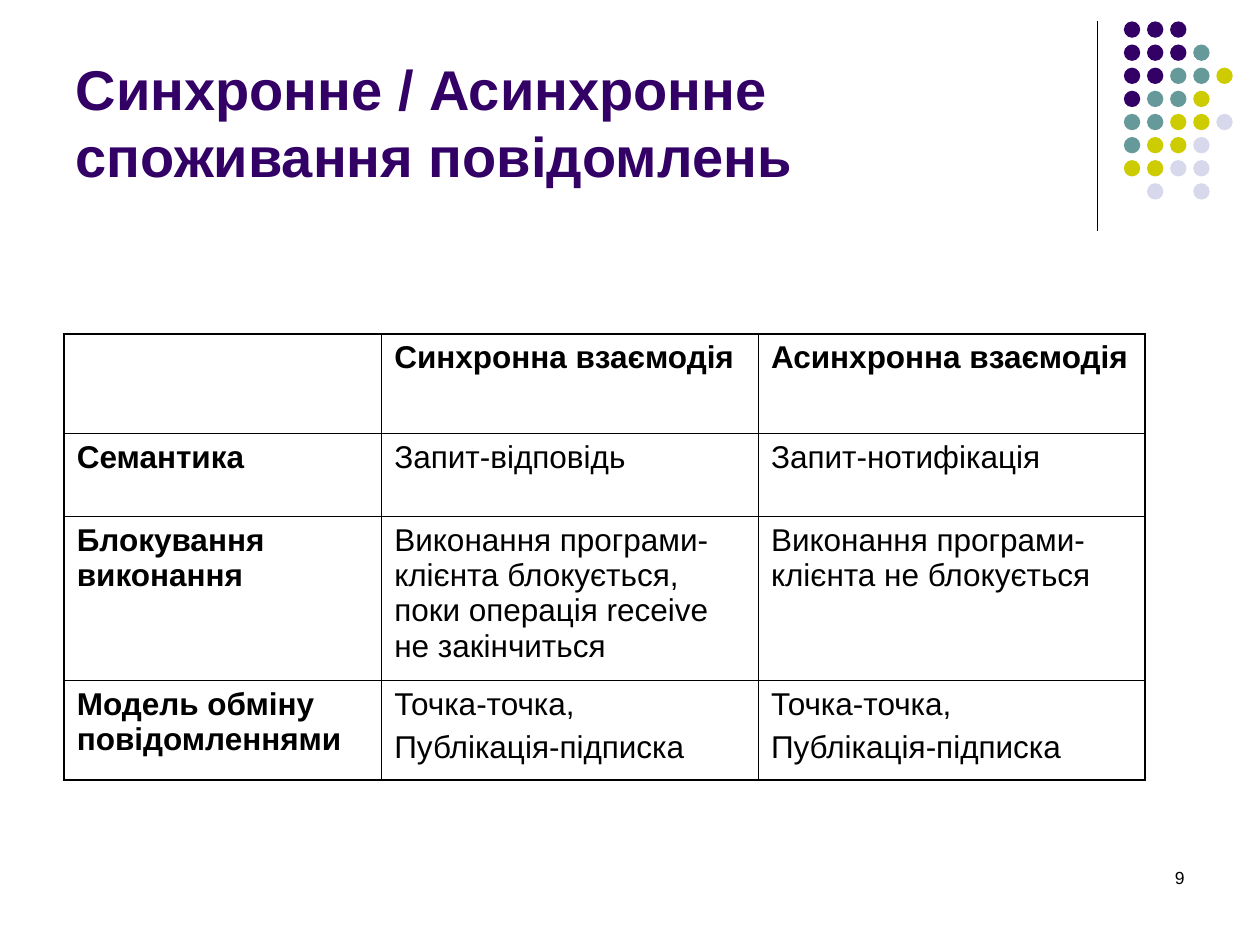
"""Build the slide comparing synchronous and asynchronous message consumption."""
from dataclasses import dataclass

from pptx import Presentation
from pptx.dml.color import RGBColor
from pptx.enum.shapes import MSO_CONNECTOR as Connector, MSO_SHAPE as Shape
from pptx.enum.text import MSO_ANCHOR as Anchor, MSO_AUTO_SIZE as AutoSize, PP_ALIGN as Align
from pptx.oxml.ns import qn
from pptx.util import Inches, Pt
from lxml.etree import SubElement


@dataclass(frozen=True)
class Theme:
    font: str = "Arial"
    ink: str = "000000"
    purple: str = "330066"
    teal: str = "669999"
    lime: str = "CCCC00"
    lilac: str = "D8D8EC"
    title_size: int = 32
    table_size: int = 18
    number_size: int = 10
    thin: float = 0.45
    thick: float = 1.08


theme = Theme()


def style(paragraph, size, color, bold=False):
    formats = {"name": theme.font, "size": Pt(size), "bold": bold}
    for run in paragraph.runs:
        for attribute, value in formats.items():
            setattr(run.font, attribute, value)
        run.font.color.rgb = RGBColor.from_string(color)


def add_border(cell, side, width):
    line = SubElement(cell._tc.get_or_add_tcPr(), qn(f"a:ln{side}"), w=str(Pt(width)))
    SubElement(SubElement(line, qn("a:solidFill")), qn("a:srgbClr"), val=theme.ink)


deck = Presentation()
deck.slide_width, deck.slide_height = Inches(10), Inches(7.5)
slide = deck.slides.add_slide(deck.slide_layouts[5])

divider = slide.shapes.add_connector(
    Connector.STRAIGHT, Inches(8.71), Inches(0.17), Inches(8.71), Inches(1.83))
divider.line.color.rgb = RGBColor.from_string(theme.ink)
divider.line.width = Pt(0.75)
SubElement(divider._element.spPr, qn("a:effectLst"))

dot_colors = {"P": theme.purple, "T": theme.teal, "L": theme.lime, "V": theme.lilac}
dot_rows = ["PPP", "PPPT", "PPTTL", "PTTL", "TTLLV", "TLLV", "LLVV", ".V.V"]
dot_step = 0.1835
for row, dots in enumerate(dot_rows):
    for column, key in enumerate(dots):
        if key in dot_colors:
            dot = slide.shapes.add_shape(
                Shape.OVAL, Inches(8.92 + column * dot_step), Inches(0.17 + row * dot_step),
                Inches(0.13), Inches(0.13))
            dot.shadow.inherit = False
            dot.fill.solid()
            dot.fill.fore_color.rgb = RGBColor.from_string(dot_colors[key])
            dot.line.fill.background()

heading = slide.shapes.title
heading_box = {"left": 0.5, "top": 0.13, "width": 8.25, "height": 1.42}
for attribute, value in heading_box.items():
    setattr(heading, attribute, Inches(value))
heading_frame = heading.text_frame
heading_frame.text = "Синхронне / Асинхронне \vспоживання повідомлень"
heading_format = {"vertical_anchor": Anchor.BOTTOM, "word_wrap": True, "auto_size": AutoSize.NONE}
for attribute, value in heading_format.items():
    setattr(heading_frame, attribute, value)
heading_frame.paragraphs[0].alignment = Align.LEFT
style(heading_frame.paragraphs[0], theme.title_size, theme.purple, True)

comparison = [
    ["", "Синхронна взаємодія", "Асинхронна взаємодія"],
    ["Семантика", "Запит-відповідь", "Запит-нотифікація"],
    ["Блокування виконання",
     "Виконання програми-клієнта блокується, поки операція receive не закінчиться",
     "Виконання програми-клієнта не блокується"],
    ["Модель обміну повідомленнями"] + ["Точка-точка,\nПублікація-підписка"] * 2,
]
column_widths = [2.52, 2.99, 3.07]
row_heights = [0.79, 0.66, 1.3, 0.79]
table = slide.shapes.add_table(
    len(row_heights), len(column_widths), Inches(0.51), Inches(2.65),
    Inches(sum(column_widths)), Inches(sum(row_heights))).table
table.first_row = table.horz_banding = False
for column, width in zip(table.columns, column_widths):
    column.width = Inches(width)
for row, height in zip(table.rows, row_heights):
    row.height = Inches(height)

last_row, last_column = len(row_heights) - 1, len(column_widths) - 1
for row, entries in enumerate(comparison):
    for column, entry in enumerate(entries):
        cell = table.cell(row, column)
        outer_edges = {"L": column == 0, "R": column == last_column,
                       "T": row == 0, "B": row == last_row}
        for side, is_outer in outer_edges.items():
            add_border(cell, side, theme.thick if is_outer else theme.thin)
        cell.fill.background()
        cell.text = entry
        for index, paragraph in enumerate(cell.text_frame.paragraphs):
            paragraph.space_before = Pt(4.5 if index else 0)
            style(paragraph, theme.table_size, theme.ink, row == 0 or column == 0)

page_number = slide.shapes.add_textbox(
    Inches(7.17), Inches(6.83), Inches(2.33), Inches(0.5)).text_frame
page_number.word_wrap = True
page_number.text = "9"
page_number.paragraphs[0].alignment = Align.RIGHT
style(page_number.paragraphs[0], theme.number_size, theme.ink)

deck.save("out.pptx")
